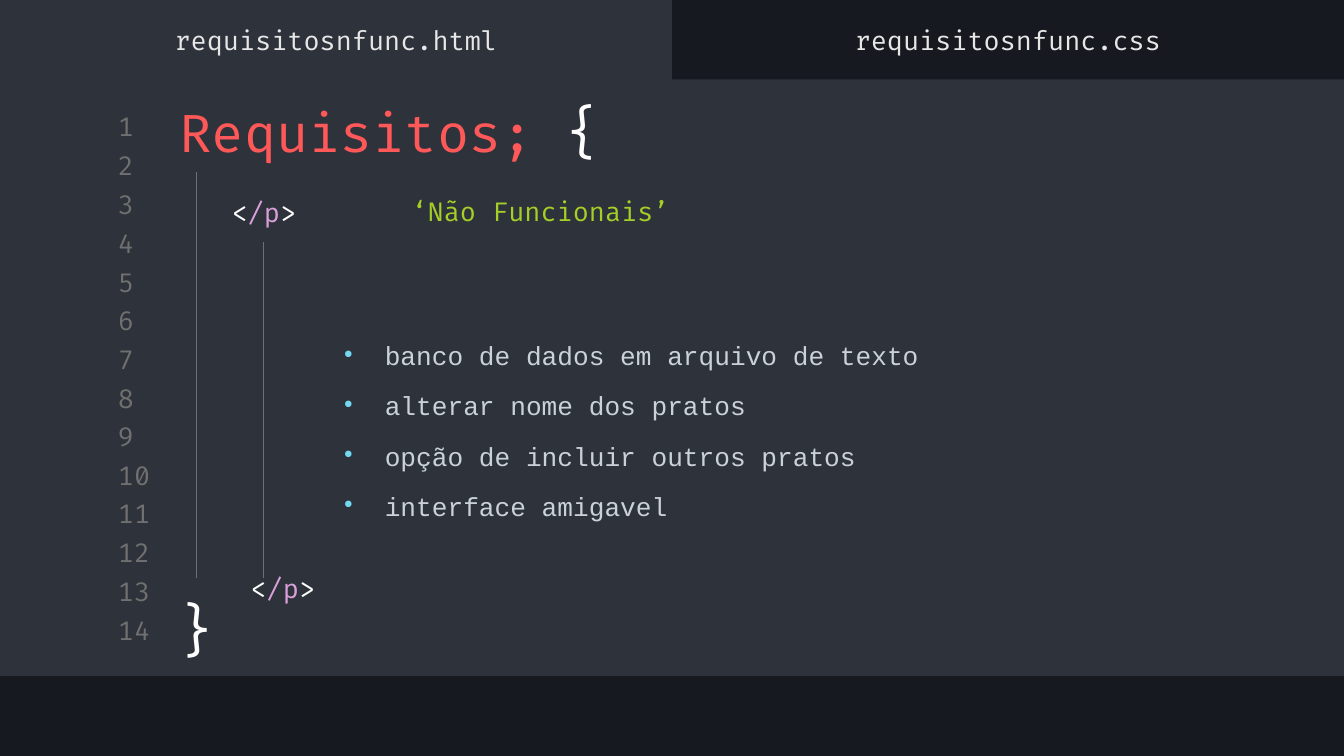
from lxml.etree import SubElement
from pptx import Presentation
from pptx.dml.color import RGBColor
from pptx.enum.shapes import MSO_CONNECTOR as Connector, MSO_SHAPE as Shape
from pptx.enum.text import MSO_ANCHOR as Anchor, PP_ALIGN as Align
from pptx.oxml.ns import qn
from pptx.util import Emu, Pt

PX = 4572
WIDTH, HEIGHT = 2000, 1125
INSET = 20
CODE, MONO = "Fira Code", "Courier New"
BACKDROP, PANEL = "16191F", "2E323B"
WHITE, GRAY, TAB_TEXT = "FFFFFF", "707070", "E7E7E7"
RED, GREEN, PURPLE = "FF5858", "A5CF27", "DBA0DB"
BULLET, ITEM_TEXT = "72D9F0", "C9D1D9"

TABS = ["requisitosnfunc.html", "requisitosnfunc.css"]
ITEMS = [
    "banco de dados em arquivo de texto",
    "alterar nome dos pratos",
    "opção de incluir outros pratos",
    "interface amigavel",
]
TAG = [("<", WHITE), ("/p", PURPLE), (">", WHITE)]


def px(value):
    return Emu(value * PX)


def box_emu(box):
    return [px(value) for value in box]


def color(hex_value):
    return RGBColor.from_string(hex_value)


def apply(target, values):
    for name, value in values.items():
        setattr(target, name, value)


def add_run(paragraph, text, hex_value, size=14, font=CODE):
    run = paragraph.add_run()
    run.text = text
    apply(run.font, {"size": Pt(size), "name": font})
    run.font.color.rgb = color(hex_value)


def add_panel(slide, box):
    shape = slide.shapes.add_shape(Shape.RECTANGLE, *box_emu(box))
    shape.shadow.inherit = False
    shape.fill.solid()
    shape.fill.fore_color.rgb = color(PANEL)
    shape.line.fill.background()


def add_text(slide, box, runs, align=Align.LEFT, anchor=Anchor.MIDDLE):
    frame = slide.shapes.add_textbox(*box_emu(box)).text_frame
    margins = {f"margin_{side}": px(INSET) for side in ("left", "top", "right", "bottom")}
    apply(frame, {"word_wrap": True, "vertical_anchor": anchor, **margins})
    paragraph = frame.paragraphs[0]
    paragraph.alignment = align
    for run in runs:
        add_run(paragraph, *run)
    return frame


def add_guide(slide, x, top, bottom):
    line = slide.shapes.add_connector(Connector.STRAIGHT, *box_emu((x, top, x, bottom)))
    line.line.color.rgb = color(GRAY)
    line.line.width = Pt(0.75)
    SubElement(line._element.spPr, qn("a:effectLst"))


def set_indent(paragraph, left, first=0):
    properties = paragraph._p.get_or_add_pPr()
    properties.set("marL", str(px(left)))
    properties.set("indent", str(px(first)))
    return properties


def set_bullet(paragraph):
    properties = set_indent(paragraph, 161, -66)
    bullet_color = SubElement(properties, qn("a:buClr"))
    SubElement(bullet_color, qn("a:srgbClr")).set("val", BULLET)
    SubElement(properties, qn("a:buFont")).set("typeface", CODE)
    SubElement(properties, qn("a:buChar")).set("char", "•")


def add_tabs(slide, box):
    left, top, width, height = box
    tab_width = width // len(TABS)
    add_panel(slide, (left, top, tab_width, height))
    for index, name in enumerate(TABS):
        label_box = (left + index * tab_width, top + 20, tab_width, 78)
        add_text(slide, label_box, [(name, TAB_TEXT)], Align.CENTER)


def add_line_numbers(slide, box, count=14):
    left, top, width, height = box
    pitch = height / count
    for index in range(count):
        number_box = (left, top + round(index * pitch), width, 48)
        add_text(slide, number_box, [(str(index + 1), GRAY)])


def add_requirements(slide, box):
    frame = add_text(slide, box, [("‘Não Funcionais’", GREEN)], anchor=Anchor.TOP)
    set_indent(frame.paragraphs[0], 201)
    for index, item in enumerate(ITEMS):
        paragraph = frame.add_paragraph()
        apply(paragraph, {
            "alignment": Align.JUSTIFY,
            "line_spacing": Pt(16.8),
            "space_before": Pt(10 if index else 60.5),
        })
        set_bullet(paragraph)
        add_run(paragraph, item, ITEM_TEXT, font=MONO)


def add_code_block(slide, box):
    left, top, width, height = box
    bottom = top + height
    title = [("Requisitos; ", RED, 28), ("{", WHITE, 30)]
    add_text(slide, (left + 10, top, 884, 116), title)
    add_requirements(slide, (left + 154, top + 135, width - 154, 540))
    add_guide(slide, left + 54, top + 120, bottom - 146)
    add_guide(slide, left + 154, top + 224, bottom - 146)
    add_text(slide, (left, bottom - 141, 110, 142), [("}", WHITE, 30)], Align.CENTER, Anchor.TOP)
    for x, y in [(left + 82, top + 136), (left + 110, bottom - 174)]:
        add_text(slide, (x, y, 146, 88), TAG, Align.CENTER, Anchor.TOP)


def main():
    presentation = Presentation()
    apply(presentation, {"slide_width": px(WIDTH), "slide_height": px(HEIGHT)})
    slide = presentation.slides.add_slide(presentation.slide_layouts[6])
    slide.background.fill.solid()
    slide.background.fill.fore_color.rgb = color(BACKDROP)
    add_panel(slide, (0, 118, WIDTH, 888))
    add_tabs(slide, (0, 0, WIDTH, 119 + 11))
    add_line_numbers(slide, (156, 164, 94, 807))
    add_code_block(slide, (238, 136, 1366, 870))
    presentation.save("out.pptx")


if __name__ == "__main__":
    main()
